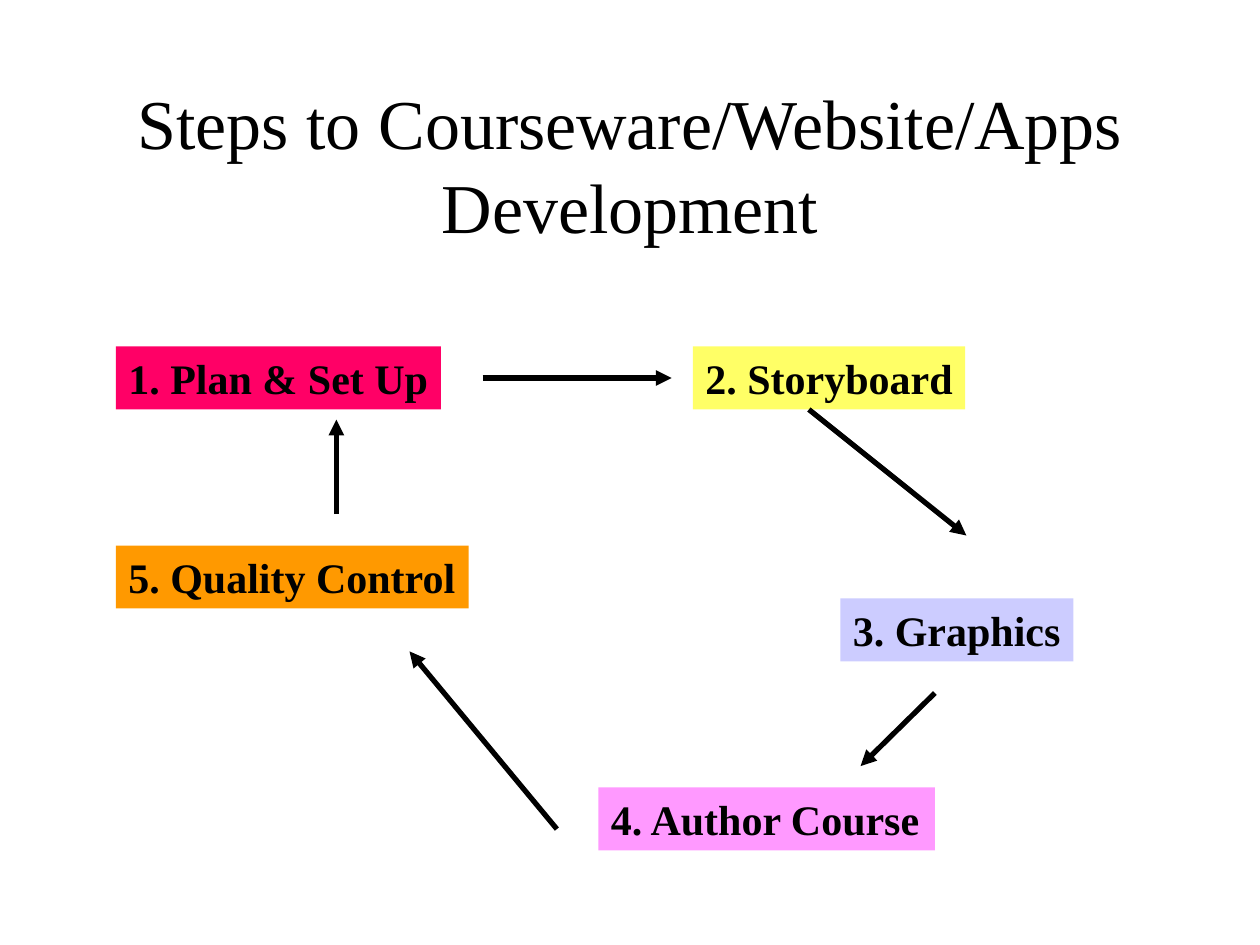
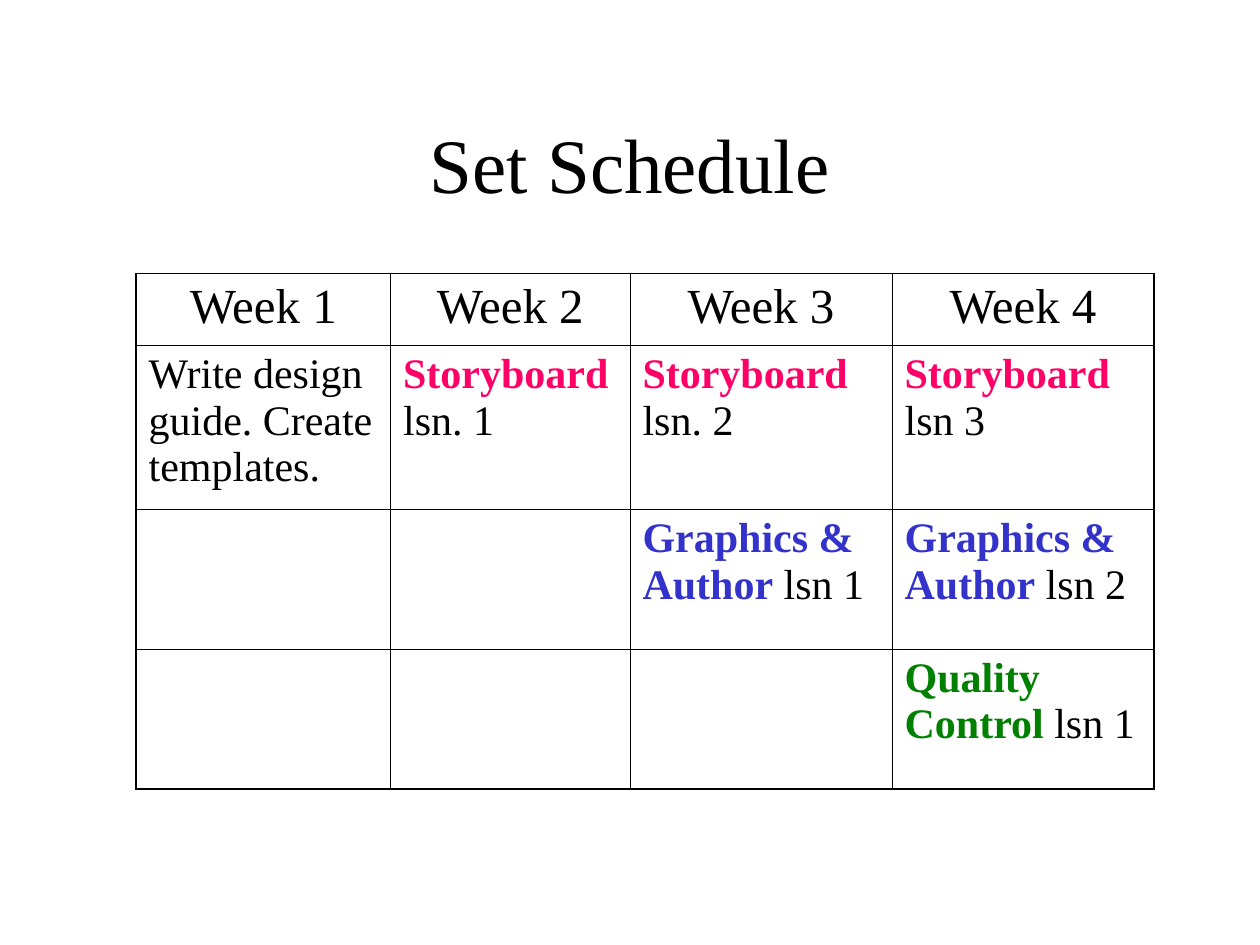
import pptx
import pptx.util
import pptx.dml.color
import pptx.enum.shapes
import pptx.enum.text
import pptx.oxml

Inches = pptx.util.Inches
Pt = pptx.util.Pt
ALIGN = pptx.enum.text.PP_ALIGN
ANCHOR = pptx.enum.text.MSO_ANCHOR
AUTO_SIZE = pptx.enum.text.MSO_AUTO_SIZE

FONT = "Times New Roman"
NAMESPACE = 'xmlns:a="http://schemas.openxmlformats.org/drawingml/2006/main"'
COLORS = {
    "ink": "000000",
    "paper": "FFFFFF",
    "pink": "FF0066",
    "yellow": "FFFF66",
    "lavender": "CCCCFF",
    "orchid": "FF99FF",
    "orange": "FF9900",
    "blue": "3333CC",
    "green": "008000",
}

STEPS = [
    ("1. Plan & Set Up", 0.92, 2.75, 2.58, "pink"),
    ("2. Storyboard", 5.5, 2.75, 2.16, "yellow"),
    ("3. Graphics", 6.67, 4.75, 1.85, "lavender"),
    ("4. Author Course", 4.75, 6.25, 2.67, "orchid"),
    ("5. Quality Control", 0.92, 4.33, 2.8, "orange"),
]
STEP_ARROWS = [
    ((3.83, 3), (5.33, 3)),
    ((6.42, 3.25), (7.67, 4.25)),
    ((7.42, 5.5), (6.83, 6.08)),
    ((4.42, 6.58), (3.25, 5.17)),
    ((2.67, 4.08), (2.67, 3.33)),
]

WEEK_WIDTHS = [2.02, 1.9, 2.08, 2.08]
ROW_HEIGHTS = [0.57, 1.3, 1.11, 1.11]
OUTER_BORDER, INNER_BORDER = 1.08, 0.45
TASKS = [
    (1, 0, "", "Write design guide. Create templates.", "ink"),
    (1, 1, "Storyboard ", "lsn. 1", "pink"),
    (1, 2, "Storyboard ", "lsn. 2", "pink"),
    (1, 3, "Storyboard ", "lsn 3", "pink"),
    (2, 2, "Graphics & Author", " lsn 1", "blue"),
    (2, 3, "Graphics & Author", " lsn 2", "blue"),
    (3, 3, "Quality Control", " lsn 1", "green"),
]


def rgb(color):
    return pptx.dml.color.RGBColor.from_string(COLORS[color])


def write(frame, text, size=24, color="ink", bold=False, align=ALIGN.LEFT):
    paragraph = frame.paragraphs[0]
    paragraph.alignment = align
    run = paragraph.add_run()
    run.text = text
    run.font.name = FONT
    run.font.size = Pt(size)
    run.font.bold = bold
    run.font.color.rgb = rgb(color)


def add_titled_slide(deck, heading, size):
    slide = deck.slides.add_slide(deck.slide_layouts[5])
    slide.background.fill.solid()
    slide.background.fill.fore_color.rgb = rgb("paper")
    title = slide.shapes.title
    title.left, title.top = Inches(0.75), Inches(0.67)
    title.width, title.height = Inches(8.5), Inches(1.25)
    title.text_frame.auto_size = AUTO_SIZE.NONE
    title.text_frame.vertical_anchor = ANCHOR.MIDDLE
    write(title.text_frame, heading, size=size, align=ALIGN.CENTER)
    return slide


def add_step(slide, label, left, top, width, color):
    step = slide.shapes.add_shape(
        pptx.enum.shapes.MSO_SHAPE.RECTANGLE,
        Inches(left), Inches(top), Inches(width), Inches(0.5),
    )
    step.shadow.inherit = False
    step.fill.solid()
    step.fill.fore_color.rgb = rgb(color)
    step.line.fill.background()
    step.text_frame.word_wrap = False
    step.text_frame.auto_size = AUTO_SIZE.SHAPE_TO_FIT_TEXT
    step.text_frame.vertical_anchor = ANCHOR.TOP
    write(step.text_frame, label, bold=True)


def add_arrow(slide, start, end):
    arrow = slide.shapes.add_connector(
        pptx.enum.shapes.MSO_CONNECTOR.STRAIGHT,
        *(Inches(value) for value in start + end),
    )
    arrow.line.color.rgb = rgb("ink")
    arrow.line.width = Pt(3)
    arrow.line._get_or_add_ln().append(
        pptx.oxml.parse_xml(f'<a:tailEnd {NAMESPACE} type="triangle"/>'))
    arrow._element.spPr.append(pptx.oxml.parse_xml(f"<a:effectLst {NAMESPACE}/>"))


def set_borders(cell, row, column):
    outer_sides = {
        "L": column == 0,
        "R": column == len(WEEK_WIDTHS) - 1,
        "T": row == 0,
        "B": row == len(ROW_HEIGHTS) - 1,
    }
    properties = cell._tc.get_or_add_tcPr()
    for side, is_outer in outer_sides.items():
        width = Pt(OUTER_BORDER if is_outer else INNER_BORDER)
        properties.append(pptx.oxml.parse_xml(
            f'<a:ln{side} {NAMESPACE} w="{width}"><a:solidFill>'
            f'<a:srgbClr val="{COLORS["ink"]}"/></a:solidFill></a:ln{side}>'))


def add_schedule(slide):
    schedule = slide.shapes.add_table(
        len(ROW_HEIGHTS), len(WEEK_WIDTHS), Inches(1.08), Inches(2.17),
        Inches(sum(WEEK_WIDTHS)), Inches(sum(ROW_HEIGHTS)),
    ).table
    schedule.first_row = False
    schedule.horz_banding = False
    for column, width in enumerate(WEEK_WIDTHS):
        schedule.columns[column].width = Inches(width)
    for row, height in enumerate(ROW_HEIGHTS):
        schedule.rows[row].height = Inches(height)
        for column in range(len(WEEK_WIDTHS)):
            cell = schedule.cell(row, column)
            set_borders(cell, row, column)
            cell.fill.background()
    for column in range(len(WEEK_WIDTHS)):
        write(schedule.cell(0, column).text_frame, f"Week {column + 1}",
              size=28, align=ALIGN.CENTER)
    for row, column, activity, detail, color in TASKS:
        frame = schedule.cell(row, column).text_frame
        if activity:
            write(frame, activity, color=color, bold=True)
        write(frame, detail)


def main():
    deck = pptx.Presentation()
    deck.slide_width, deck.slide_height = Inches(10), Inches(7.5)

    steps_slide = add_titled_slide(
        deck, "Steps to Courseware/Website/Apps Development", 40)
    for step in STEPS:
        add_step(steps_slide, *step)
    for start, end in STEP_ARROWS:
        add_arrow(steps_slide, start, end)

    add_schedule(add_titled_slide(deck, "Set Schedule", 44))
    deck.save("out.pptx")


if __name__ == "__main__":
    main()
